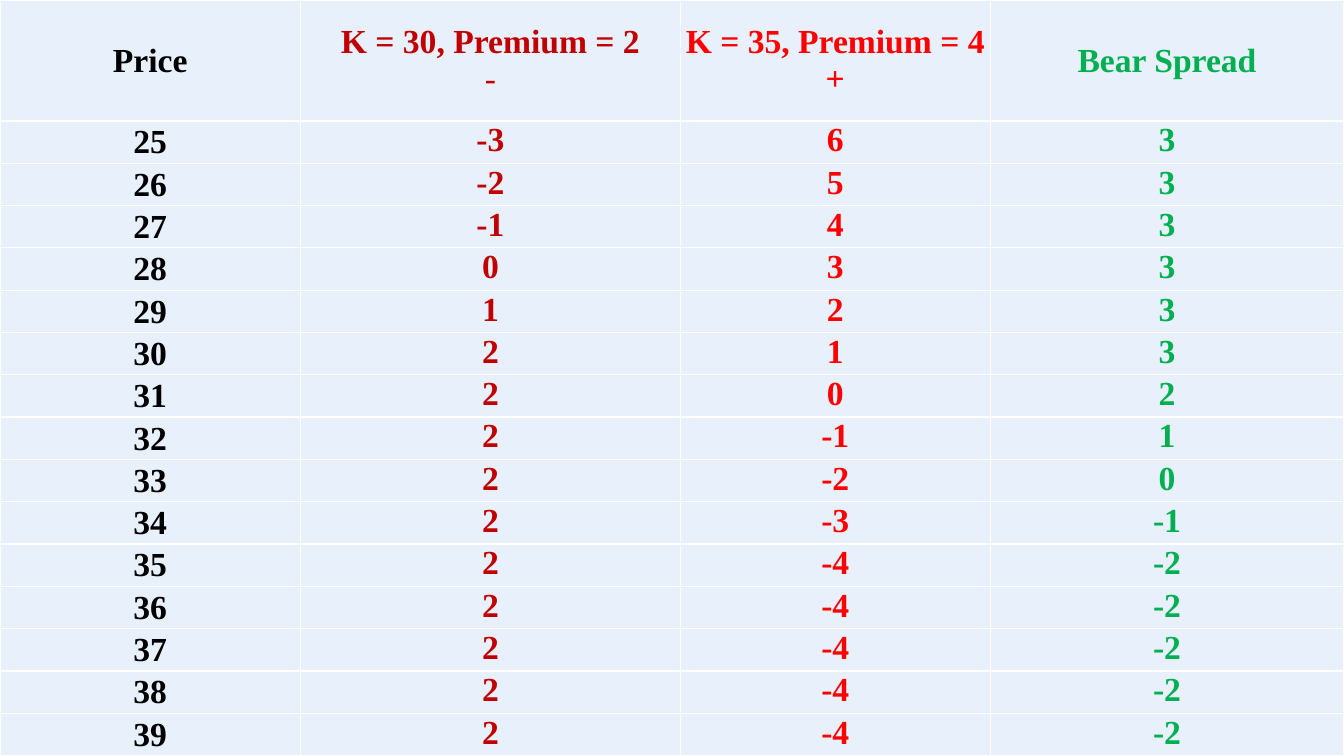
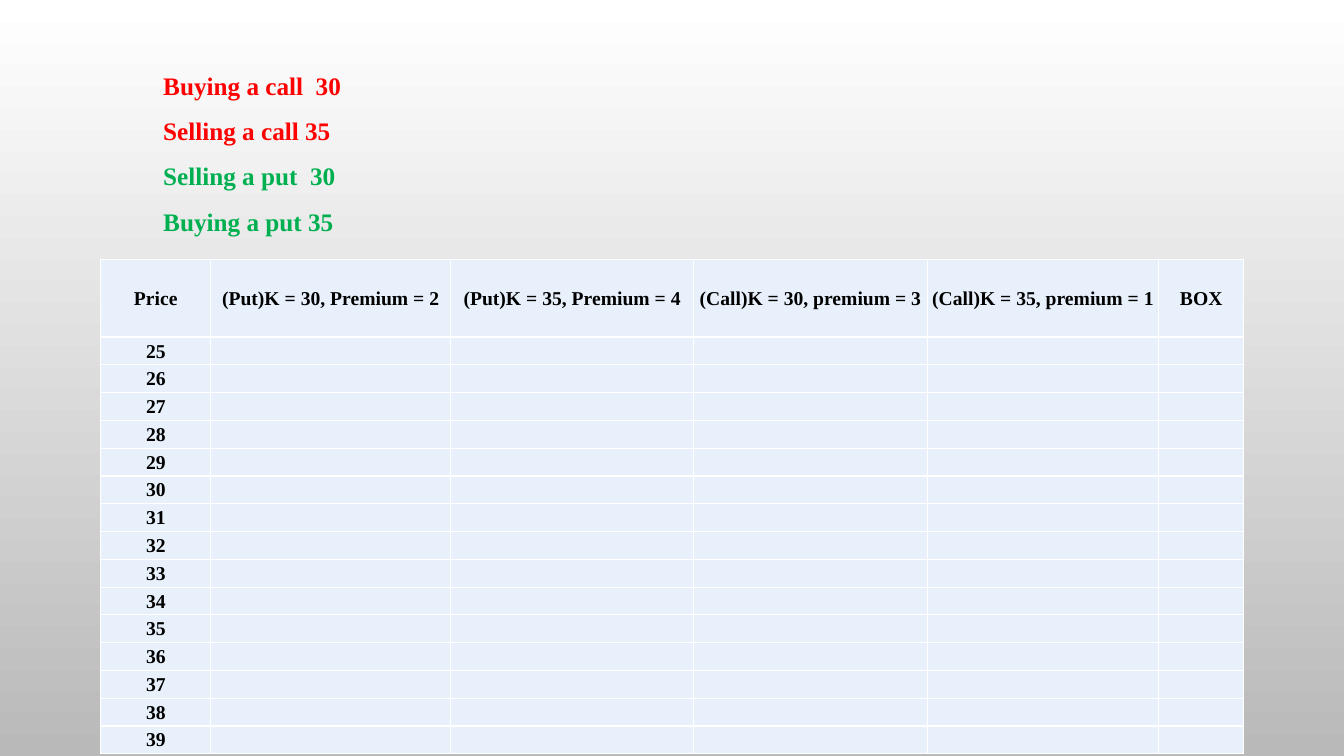
from lxml import etree
from pptx import Presentation
from pptx.dml.color import RGBColor
from pptx.enum.text import MSO_ANCHOR, MSO_AUTO_SIZE, PP_ALIGN
from pptx.oxml.ns import qn
from pptx.util import Pt

FONT = "Times New Roman"
BLACK = RGBColor(0x00, 0x00, 0x00)
WHITE = RGBColor(0xFF, 0xFF, 0xFF)
GREY = RGBColor(0xB9, 0xB9, 0xB9)
DARK_RED = RGBColor(0xC0, 0x00, 0x00)
RED = RGBColor(0xFF, 0x00, 0x00)
GREEN = RGBColor(0x00, 0xB0, 0x50)
PALE_BLUE = RGBColor(0xE8, 0xF0, 0xFC)

PRICES = range(25, 40)


def add_text(p, text, size, color, bold=True):
    r = p.add_run()
    r.text = text
    r.font.name = FONT
    r.font.size = Pt(size)
    r.font.bold = bold
    r.font.color.rgb = color


def add_price_table(s, left, top, widths, header_height, row_height, size, colors, rows):
    """Add a white-ruled table; a line break in a cell starts a plain sign line."""
    height = header_height + row_height * (len(rows) - 1)
    frame = s.shapes.add_table(len(rows), len(widths), Pt(left), Pt(top),
                               Pt(sum(widths)), Pt(height))
    table = frame.table
    table.first_row = table.horz_banding = False
    for column, width in zip(table.columns, widths):
        column.width = Pt(width)
    for i, values in enumerate(rows):
        table.rows[i].height = Pt(row_height if i else header_height)
        for j, value in enumerate(values):
            cell = table.cell(i, j)
            cell.margin_left = cell.margin_right = cell.margin_top = Pt(0.7)
            cell.margin_bottom = Pt(0)
            middle = i == 0 or j == 0
            cell.vertical_anchor = MSO_ANCHOR.MIDDLE if middle else MSO_ANCHOR.TOP
            tc_pr = cell._tc.get_or_add_tcPr()
            for side in ("a:lnL", "a:lnR", "a:lnT", "a:lnB"):
                ln = etree.SubElement(tc_pr, qn(side), w=str(Pt(1)))
                fill = etree.SubElement(ln, qn("a:solidFill"))
                etree.SubElement(fill, qn("a:srgbClr"), val=str(WHITE))
            cell.fill.solid()
            cell.fill.fore_color.rgb = PALE_BLUE
            tf = cell.text_frame
            for k, line in enumerate(str(value).split("\n")):
                p = tf.add_paragraph() if k else tf.paragraphs[0]
                p.alignment = PP_ALIGN.CENTER
                if line:
                    add_text(p, line, size, colors[j], bold=line != "-")
                else:
                    etree.SubElement(p._p, qn("a:endParaRPr"), sz=str(size * 100))


prs = Presentation()
prs.slide_width, prs.slide_height = Pt(960), Pt(540)

# Shared background
fill = prs.slide_master.background.fill
fill.gradient()
fill.gradient_angle = 270
for stop, color, position in zip(fill.gradient_stops, (WHITE, GREY), (0, 1)):
    stop.color.rgb = color
    stop.position = position

# Bear spread
s = prs.slides.add_slide(prs.slide_layouts[6])
rows = [("Price", "K = 30, Premium = 2\n-", "K = 35, Premium = 4\n+", "Bear Spread")]
for price in PRICES:
    short_put = 2 - max(30 - price, 0)
    long_put = max(35 - price, 0) - 4
    rows.append((price, short_put, long_put, short_put + long_put))
add_price_table(s, 0, 0, (214.6, 271.4, 221.3, 252.7), 86.4, 30.24, 24,
                (BLACK, DARK_RED, RED, GREEN), rows)

# Box spread
s = prs.slides.add_slide(prs.slide_layouts[5])
title = s.shapes.title
title.left, title.top, title.width, title.height = Pt(109.4), Pt(41), Pt(721.4), Pt(126)
tf = title.text_frame
tf.word_wrap = True
tf.auto_size = MSO_AUTO_SIZE.NONE
tf.vertical_anchor = MSO_ANCHOR.MIDDLE
p = tf.paragraphs[0]
p.alignment = PP_ALIGN.LEFT
p.line_spacing = 1.5
positions = (("Buying a call  30", RED), ("Selling a call 35", RED),
             ("Selling a put  30", GREEN), ("Buying a put 35", GREEN))
for i, (text, color) in enumerate(positions):
    if i:
        p.add_line_break()
    add_text(p, text, 18, color)

headers = ("Price", "(Put)K = 30, Premium = 2", "(Put)K = 35, Premium = 4",
           "(Call)K = 30, premium = 3", "(Call)K = 35, premium = 1", "BOX")
rows = [headers] + [(price, "", "", "", "", "") for price in PRICES]
add_price_table(s, 72, 185.2, (78.6, 171.4, 173.6, 166.8, 165.4, 60.7), 55.6, 19.86, 14,
                (BLACK,) * len(headers), rows)

prs.save("out.pptx")
